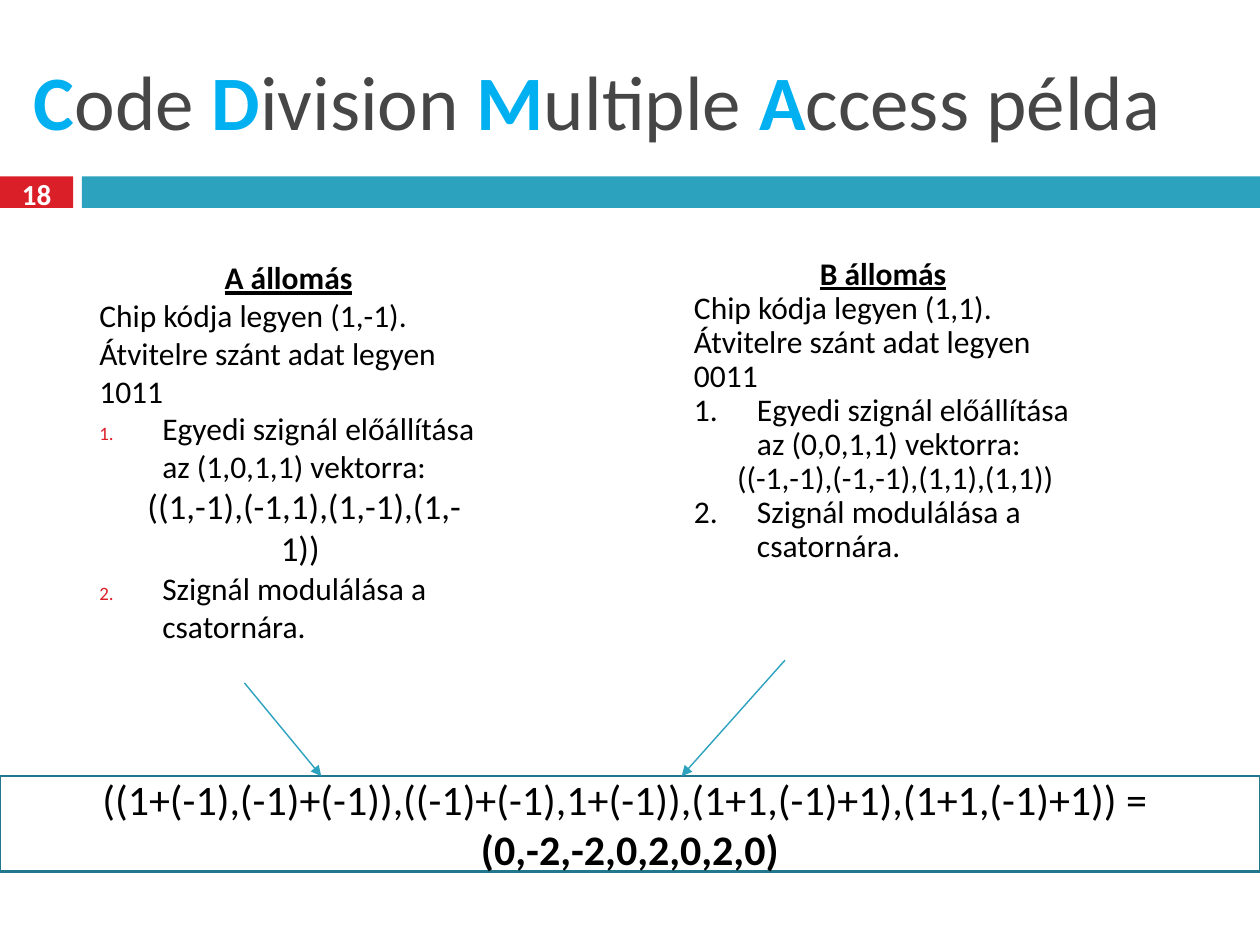
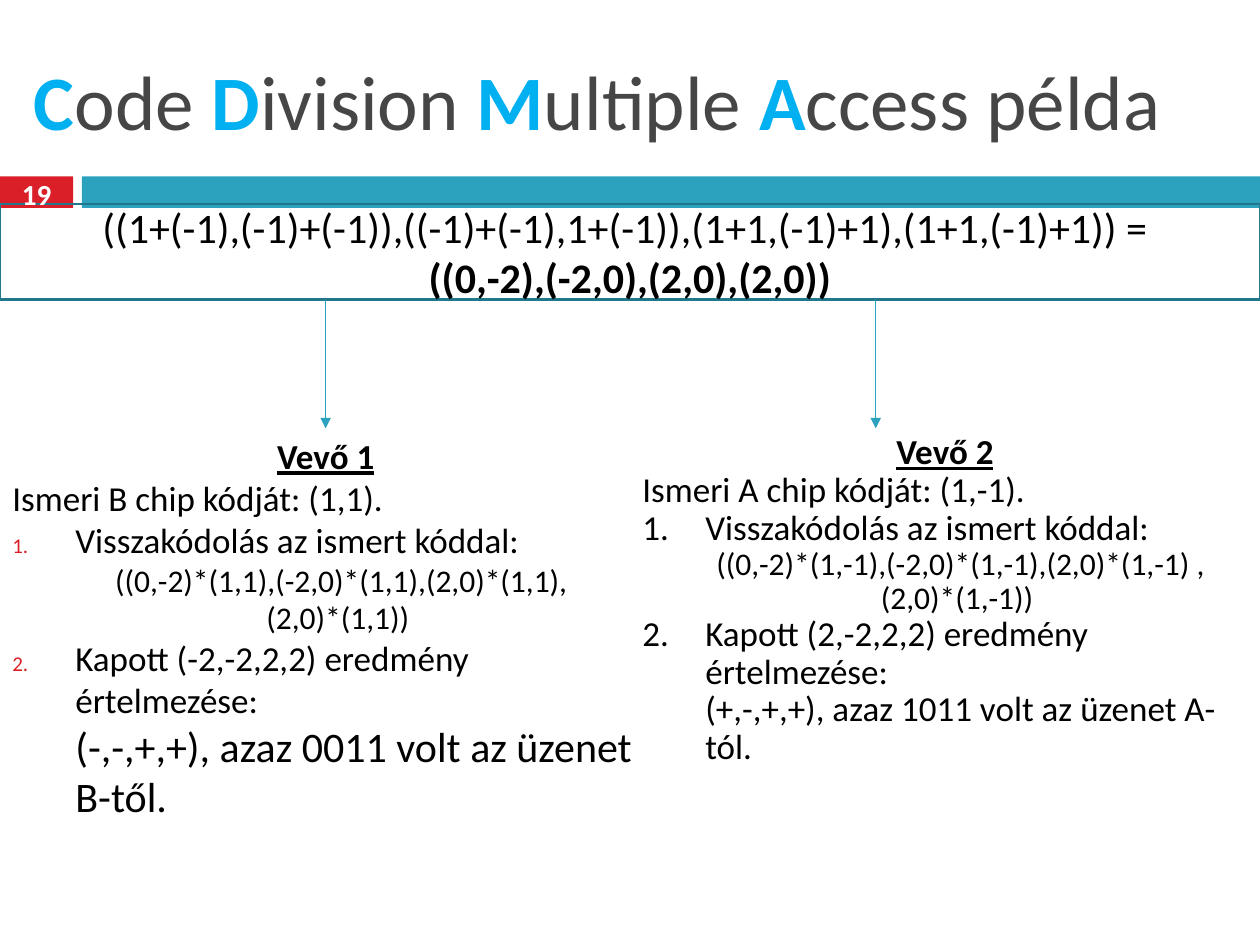
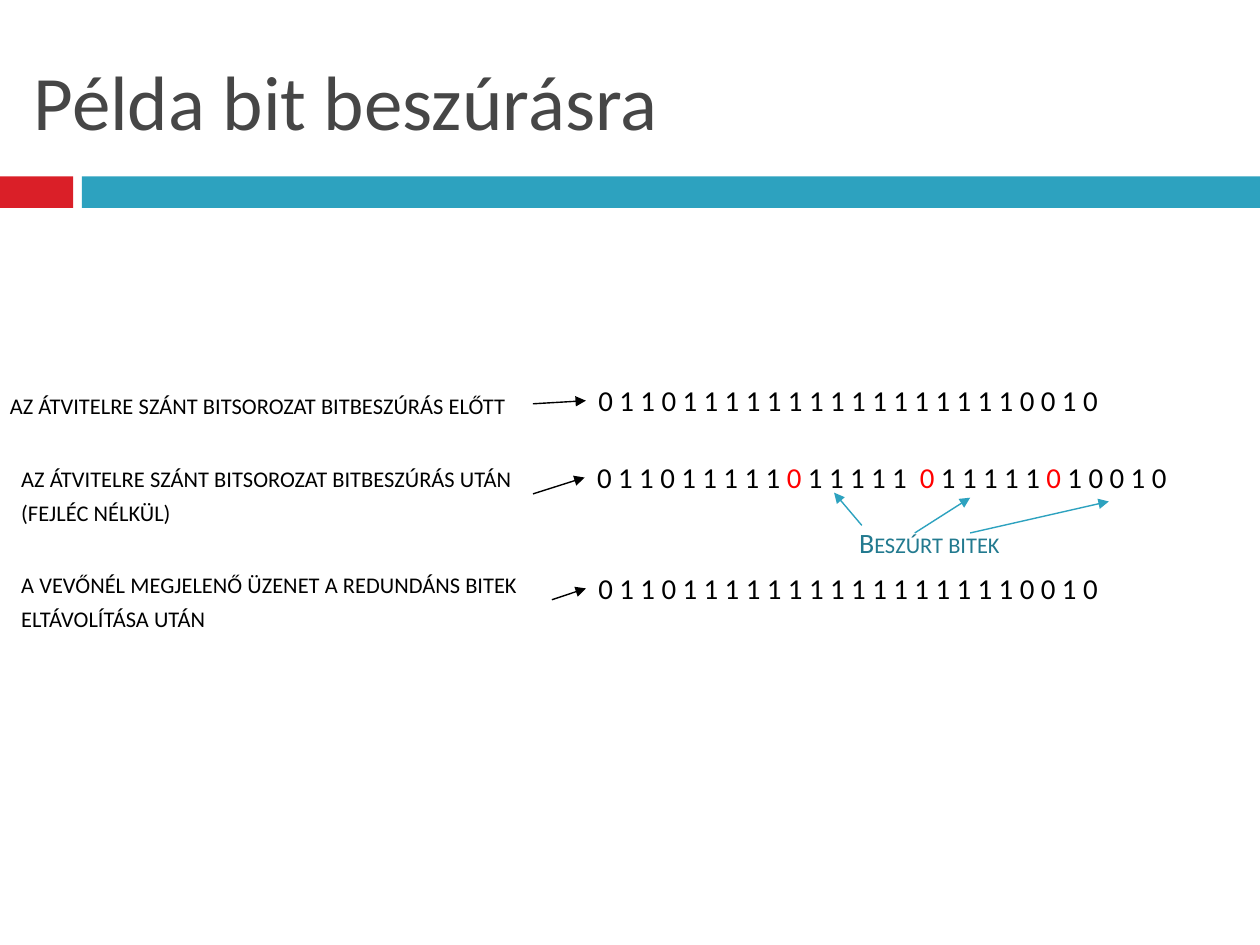
from dataclasses import dataclass

from lxml.etree import SubElement
from pptx import Presentation
from pptx.dml.color import RGBColor
from pptx.enum.shapes import MSO_CONNECTOR as Connector, MSO_SHAPE as Preset
from pptx.enum.text import MSO_ANCHOR as Anchor, PP_ALIGN as Align
from pptx.oxml.ns import qn
from pptx.util import Inches, Pt


@dataclass(frozen=True)
class Theme:
    """Colours, font and type sizes of the deck."""
    font: str = "Calibri"
    ink: str = "000000"
    white: str = "FFFFFF"
    heading: str = "464646"
    initial: str = "00B0F0"
    red: str = "DA1F28"
    teal: str = "2DA2BF"
    frame: str = "21788D"
    caption: str = "227A8F"
    stuffed: str = "FF0000"
    title_size: float = 44
    formula_size: float = 24
    number_size: float = 16.6
    bits_size: float = 16.5
    label_size: float = 16
    arrow_width: float = 0.79
    frame_width: float = 1.5


@dataclass(frozen=True)
class Box:
    """A region in inches."""
    left: float
    top: float
    width: float
    height: float

    @property
    def right(self):
        """Right edge."""
        return self.left + self.width

    @property
    def bottom(self):
        """Bottom edge."""
        return self.top + self.height

    @property
    def center(self):
        """Horizontal centre."""
        return self.left + self.width / 2

    @property
    def middle(self):
        """Vertical centre."""
        return self.top + self.height / 2

    def lengths(self):
        """Position and size as lengths."""
        return [Inches(n) for n in (self.left, self.top, self.width, self.height)]


@dataclass(frozen=True)
class Line:
    """One paragraph of a station or receiver column."""
    text: str
    size: float
    kind: str = "plain"
    number: int = 0


THEME = Theme()
TITLE = Box(0.17, 0.25, 9.67, 1.08)
NUMBER_BAND = Box(0, 1.4, 0.58, 0.25)
WIDE_BAND = Box(0.65, 1.4, 9.35, 0.25)
PAGE_NUMBER = Box(0, 1.37, 0.58, 0.33)
CDMA_TITLE = ("Code ", "Division ", "Multiple ", "Access példa")
SUM = "((1+(-1),(-1)+(-1)),((-1)+(-1),1+(-1)),(1+1,(-1)+1),(1+1,(-1)+1)) = "
BITS = "0 1 1 0 1 1 1 1 1 1 1 1 1 1 1 1 1 1 1 1 0 0 1 0"
STUFFED_BITS = ("0 1 1 0 1 1 1 1 1 ", " 1 1 1 1 1  ", " 1 1 1 1 1 ", " 1 0 0 1 0")
MARGINS = {"item": 0.5, "vector": 0.25, "result": 0.5}


def add_run(paragraph, text, size, color=THEME.ink, bold=False, underline=False, small_caps=False):
    """Append one styled run."""
    run = paragraph.add_run()
    run.text = text
    font = run.font
    font.name, font.size, font.bold, font.underline = THEME.font, Pt(size), bold, underline
    font.color.rgb = RGBColor.from_string(color)
    if small_caps:
        run._r.get_or_add_rPr().set("cap", "small")


def text_frame(slide, box, anchor=Anchor.TOP, wrap=True):
    """Add an empty text box and return its frame."""
    frame = slide.shapes.add_textbox(*box.lengths()).text_frame
    frame.word_wrap, frame.vertical_anchor = wrap, anchor
    return frame


def rectangle(slide, box, fill=None, outline=None):
    """Add a flat rectangle with either a fill or an outline."""
    shape = slide.shapes.add_shape(Preset.RECTANGLE, *box.lengths())
    shape.shadow.inherit = False
    if fill:
        shape.fill.solid()
        shape.fill.fore_color.rgb = RGBColor.from_string(fill)
    else:
        shape.fill.background()
    if outline:
        shape.line.color.rgb = RGBColor.from_string(outline)
        shape.line.width = Pt(THEME.frame_width)
    else:
        shape.line.fill.background()
    return shape


def arrow(slide, start, end, color=THEME.teal):
    """Draw a thin arrow from start to end."""
    ends = [Inches(n) for n in (*start, *end)]
    connector = slide.shapes.add_connector(Connector.STRAIGHT, *ends)
    connector.line.color.rgb = RGBColor.from_string(color)
    connector.line.width = Pt(THEME.arrow_width)
    SubElement(connector.line._get_or_add_ln(), qn("a:tailEnd"), type="triangle")
    SubElement(connector._element.spPr, qn("a:effectLst"))


def start_slide(deck):
    """Add a slide with the two shared bands."""
    slide = deck.slides.add_slide(deck.slide_layouts[6])
    rectangle(slide, NUMBER_BAND, THEME.red)
    rectangle(slide, WIDE_BAND, THEME.teal)
    return slide


def cdma_title(slide, box):
    """Write the title with its highlighted initials."""
    paragraph = text_frame(slide, box, Anchor.MIDDLE).paragraphs[0]
    for word in CDMA_TITLE:
        add_run(paragraph, word[0], THEME.title_size, THEME.initial, bold=True)
        add_run(paragraph, word[1:], THEME.title_size, THEME.heading)


def page_number(slide, box, number):
    """Write the page number on the red band."""
    paragraph = text_frame(slide, box, Anchor.MIDDLE).paragraphs[0]
    paragraph.alignment = Align.CENTER
    add_run(paragraph, str(number), THEME.number_size, THEME.white, bold=True)


def set_number(properties, number, red):
    """Number a paragraph, with a small red numeral if asked."""
    properties.set("indent", str(-Inches(MARGINS["item"])))
    if red:
        color = SubElement(properties, qn("a:buClr"))
        SubElement(color, qn("a:srgbClr"), val=THEME.red)
        SubElement(properties, qn("a:buSzPct"), val="60000")
    SubElement(properties, qn("a:buAutoNum"), type="arabicPeriod", startAt=str(number))


def column(slide, box, lines, spacing=1.0, red=False):
    """Write a headed column with its numbered steps."""
    frame = text_frame(slide, box)
    for index, line in enumerate(lines):
        paragraph = frame.add_paragraph() if index else frame.paragraphs[0]
        paragraph.line_spacing = spacing
        heading = line.kind == "heading"
        if heading or line.kind == "vector":
            paragraph.alignment = Align.CENTER
        properties = paragraph._p.get_or_add_pPr()
        properties.set("marL", str(Inches(MARGINS.get(line.kind, 0))))
        if line.number:
            set_number(properties, line.number, red)
        add_run(paragraph, line.text, line.size, bold=heading, underline=heading)


def formula(slide, box, result):
    """Frame the sum of the signals and its bold result."""
    frame = rectangle(slide, box, outline=THEME.frame).text_frame
    frame.word_wrap, frame.vertical_anchor = True, Anchor.MIDDLE
    paragraph = frame.paragraphs[0]
    paragraph.alignment = Align.CENTER
    add_run(paragraph, SUM, THEME.formula_size)
    paragraph.add_line_break()
    add_run(paragraph, result, THEME.formula_size, bold=True)


def station(name, chip, data, vector, signal, signal_size):
    """List the lines of a sending station."""
    return (
        Line(f"{name} állomás", 18, "heading"),
        Line(f"Chip kódja legyen {chip}.", 18),
        Line(f"Átvitelre szánt adat legyen {data}", 18),
        Line(f"Egyedi szignál előállítása az {vector} vektorra:", 18, "item", 1),
        Line(signal, signal_size, "vector"),
        Line("Szignál modulálása a csatornára.", 18, "item", 2),
    )


def receiver(number, known, decoding, decoded, message, message_size):
    """List the lines of a receiver."""
    return (
        Line(f"Vevő {number}", 20, "heading"),
        Line(f"Ismeri {known}.", 20),
        Line("Visszakódolás az ismert kóddal:", 20, "item", 1),
        Line(decoding, 18, "vector"),
        Line(f"Kapott {decoded} eredmény értelmezése:", 20, "item", 2),
        Line(message, message_size, "result"),
    )


def cdma_slide(deck, number, columns, formula_box, result, arrows):
    """Build a CDMA slide from two columns, a formula and its arrows."""
    slide = start_slide(deck)
    cdma_title(slide, TITLE)
    (left_box, left_lines), (right_box, right_lines) = columns
    column(slide, left_box, left_lines, red=True)
    column(slide, right_box, right_lines, spacing=0.9)
    formula(slide, formula_box, result)
    for start, end in arrows:
        arrow(slide, start, end)
    page_number(slide, PAGE_NUMBER, number)


def sending_slide(deck):
    """Show both stations sending into the channel."""
    box_a, box_b = (Box(left, 2, 3.2, 2.23) for left in (0.69, 5.41))
    channel = Box(0, 6.16, 10, 0.76)
    lines_a = station("A", "(1,-1)", "1011", "(1,0,1,1)", "((1,-1),(-1,1),(1,-1),(1,-1)) ", 20)
    lines_b = station("B", "(1,1)", "0011", "(0,0,1,1)", "((-1,-1),(-1,-1),(1,1),(1,1)) ", 18)
    arrows = [((1.94, 5.42), (2.55, channel.top)), ((6.23, 5.24), (box_b.left, channel.top))]
    cdma_slide(deck, 18, ((box_a, lines_a), (box_b, lines_b)), channel,
               "(0,-2,-2,0,2,0,2,0)", arrows)


def receiving_slide(deck):
    """Show both receivers decoding the channel."""
    box_1, box_2 = Box(0, 3.4, 5.17, 3.85), Box(5, 3.4, 5, 3.85)
    channel = Box(0, 1.62, 10, 0.76)
    lines_1 = receiver(1, "B chip kódját: (1,1)",
                       "((0,-2)*(1,1),(-2,0)*(1,1),(2,0)*(1,1),(2,0)*(1,1)) ", "(-2,-2,2,2)",
                       "(-,-,+,+), azaz 0011 volt az üzenet B-től.", 24)
    lines_2 = receiver(2, "A chip kódját: (1,-1)",
                       "((0,-2)*(1,-1),(-2,0)*(1,-1),(2,0)*(1,-1) ,(2,0)*(1,-1)) ", "(2,-2,2,2)",
                       "(+,-,+,+), azaz 1011 volt az üzenet A-tól.", 20)
    arrows = [((x, channel.bottom), (x, box_1.top)) for x in (box_1.center, 6.95)]
    cdma_slide(deck, 19, ((box_1, lines_1), (box_2, lines_2)), channel,
               "((0,-2),(-2,0),(2,0),(2,0))", arrows)


def bit_row(slide, label_box, label, bits_box, parts, wrap=True):
    """Label a bit sequence and mark the inserted zeros between its parts."""
    caption = text_frame(slide, label_box, wrap=wrap).paragraphs[0]
    add_run(caption, label, THEME.label_size, small_caps=True)
    bits = text_frame(slide, bits_box, wrap=False).paragraphs[0]
    for index, part in enumerate(parts):
        if index:
            add_run(bits, "0", THEME.bits_size, THEME.stuffed)
        add_run(bits, part, THEME.bits_size)
    arrow(slide, (label_box.right, label_box.middle), (bits_box.left, bits_box.middle), THEME.ink)


def inserted_note(slide, box):
    """Name the inserted bits and point at them."""
    for start, end in (((0.12, 0.05), (-0.1, -0.21)),
                       ((0.54, 0.11), (0.98, -0.17)),
                       ((0.98, 0.11), (2.08, -0.14))):
        arrow(slide, *((box.left + x, box.top + y) for x, y in (start, end)))
    note = text_frame(slide, box).paragraphs[0]
    add_run(note, "Beszúrt bitek", THEME.label_size, THEME.caption, small_caps=True)


def stuffing_slide(deck):
    """Show a bit sequence before, during and after bit stuffing."""
    slide = start_slide(deck)
    title = text_frame(slide, TITLE, Anchor.MIDDLE).paragraphs[0]
    add_run(title, "Példa bit beszúrásra", THEME.title_size, THEME.heading)
    bit_row(slide, Box(-0.02, 3.02, 4.25, 0.37), "az átvitelre szánt bitsorozat bitbeszúrás előtt",
            Box(4.65, 2.99, 4.85, 0.38), (BITS,), wrap=False)
    bit_row(slide, Box(0.07, 3.6, 4.16, 0.64),
            "az átvitelre szánt bitsorozat bitbeszúrás után (fejléc nélkül)",
            Box(4.64, 3.6, 5.49, 0.38), STUFFED_BITS)
    bit_row(slide, Box(0.07, 4.44, 4.31, 0.64),
            "a vevőnél megjelenő üzenet a redundáns bitek eltávolítása után",
            Box(4.65, 4.48, 4.85, 0.38), (BITS,))
    inserted_note(slide, Box(6.72, 4.12, 1.67, 0.37))


def main():
    """Build and save the deck."""
    deck = Presentation()
    deck.slide_width, deck.slide_height = Inches(10), Inches(7.5)
    sending_slide(deck)
    receiving_slide(deck)
    stuffing_slide(deck)
    deck.save("out.pptx")


if __name__ == "__main__":
    main()
